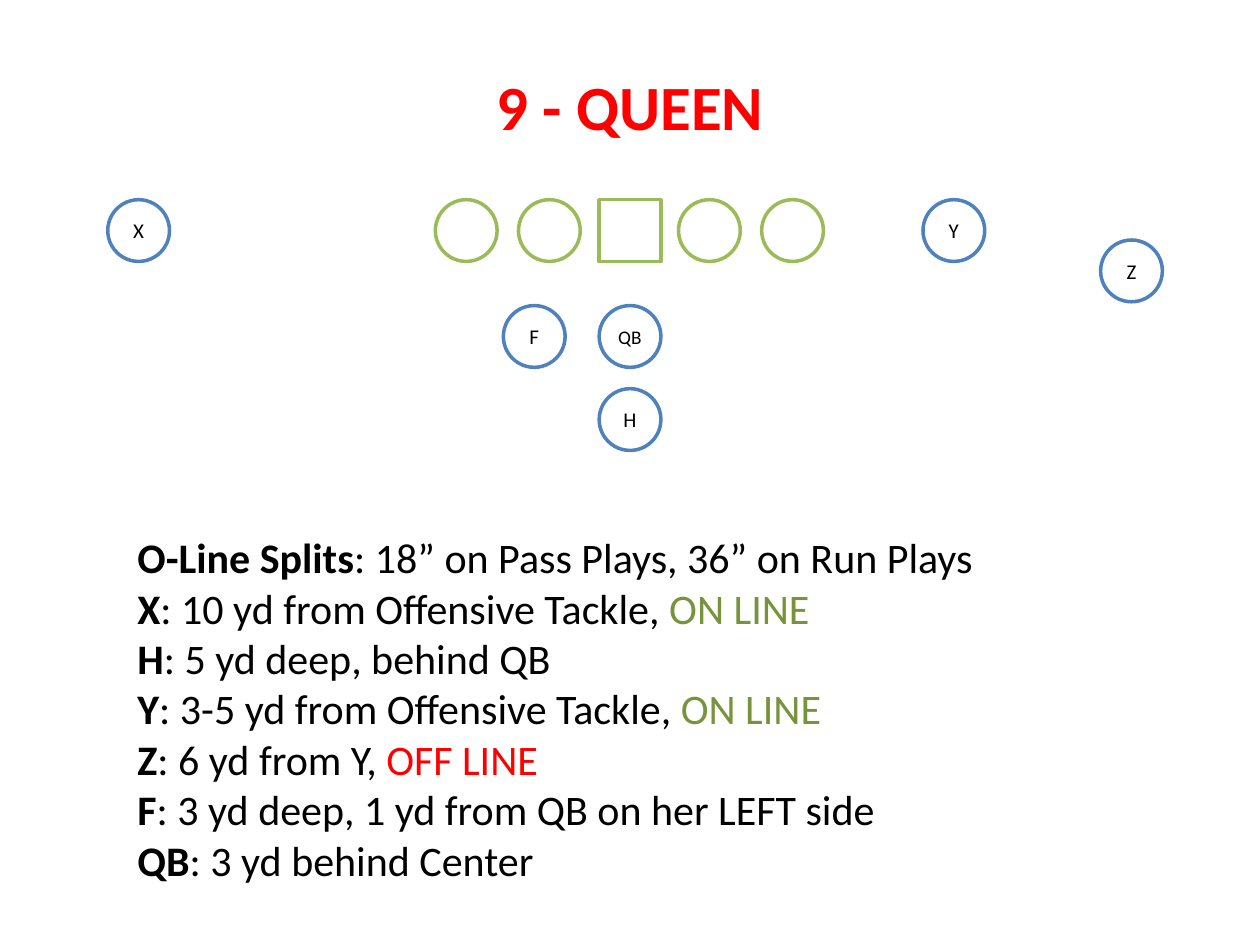
from lxml import etree
from pptx import Presentation
from pptx import util as u
from pptx.dml.color import RGBColor
from pptx.enum import shapes, text

BLACK = RGBColor(0x00, 0x00, 0x00)
WHITE = RGBColor(0xFF, 0xFF, 0xFF)
RED = RGBColor(0xFF, 0x00, 0x00)
BLUE = RGBColor(0x4F, 0x81, 0xBD)
LIME = RGBColor(0x9B, 0xBB, 0x59)
OLIVE = RGBColor(0x77, 0x93, 0x3C)

SIZE = 0.49  # width and height of a player mark
OVAL = shapes.MSO_SHAPE.OVAL
RECT = shapes.MSO_SHAPE.RECTANGLE

# Centre offsets from the Center, in inches
LINE = [(-1.3, OVAL), (-0.64, OVAL), (0, RECT), (0.63, OVAL), (1.29, OVAL)]
BACKS = [("X", -3.9, 0), ("Y", 2.57, 0), ("Z", 3.98, 0.32),
         ("F", -0.76, 0.84), ("QB", 0, 0.84), ("H", 0, 1.5)]

NOTES = [
    ("O-Line Splits", ": 18” on Pass Plays, 36” on Run Plays", "", BLACK),
    ("X", ": 10 yd from Offensive Tackle, ", "ON LINE", OLIVE),
    ("H", ": 5 yd deep, behind QB", "", BLACK),
    ("Y", ": 3-5 yd from Offensive Tackle, ", "ON LINE", OLIVE),
    ("Z", ": 6 yd from Y, ", "OFF LINE", RED),
    ("F", ": 3 yd deep, 1 yd from QB on her LEFT side", "", BLACK),
    ("QB", ": 3 yd behind Center", "", BLACK),
]


def style(obj, form):
    for key, val in form.items():
        setattr(obj, key, val)


def place(shape, box):
    names = ("left", "top", "width", "height")
    style(shape, dict(zip(names, map(u.Inches, box))))


def write(para, words, size, color, bold=False):
    run = para.add_run()
    run.text = words
    style(run.font, {"name": "Calibri", "size": u.Pt(size), "bold": bold})
    run.font.color.rgb = color


def mark(slide, kind, x, y, color, label=""):
    """Draw one player centred on x, y."""
    box = (x - SIZE / 2, y - SIZE / 2, SIZE, SIZE)
    shape = slide.shapes.add_shape(kind, *map(u.Inches, box))
    shape.shadow.inherit = False
    shape.fill.solid()
    shape.fill.fore_color.rgb = WHITE
    shape.line.color.rgb = color
    shape.line.width = u.Pt(2)
    if label:
        frame = shape.text_frame
        frame.vertical_anchor = text.MSO_ANCHOR.MIDDLE
        wide = len(label) > 1
        if wide:
            style(frame, {"margin_left": 0, "margin_right": 0})
        para = frame.paragraphs[0]
        para.alignment = text.PP_ALIGN.CENTER
        write(para, label, 11 if wide else 12, BLACK)


def title(slide, box):
    shape = slide.shapes.title
    place(shape, box)
    frame = shape.text_frame
    style(frame, {"auto_size": text.MSO_AUTO_SIZE.NONE, "word_wrap": True})
    para = frame.paragraphs[0]
    para.alignment = text.PP_ALIGN.CENTER
    write(para, "9 - QUEEN", 36, RED, True)


def field(slide, x, y):
    """Set out the formation around the Center at x, y."""
    for label, dx, dy in BACKS:
        mark(slide, OVAL, x + dx, y + dy, BLUE, label)
    for dx, kind in LINE:
        mark(slide, kind, x + dx, y, LIME)


def notes(slide, box):
    shape = slide.placeholders[1]
    place(shape, box)
    frame = shape.text_frame
    style(frame, {"auto_size": text.MSO_AUTO_SIZE.NONE, "word_wrap": True,
                  "vertical_anchor": text.MSO_ANCHOR.TOP})
    for i, (label, words, tail, color) in enumerate(NOTES):
        para = frame.add_paragraph() if i else frame.paragraphs[0]
        para.space_before = u.Pt(0)
        # No bullet and no hanging indent
        props = para._p.get_or_add_pPr()
        props.set("marL", "0")
        props.set("indent", "0")
        etree.SubElement(props, props.tag.replace("pPr", "buNone"))
        write(para, label, 24, BLACK, True)
        write(para, words, 24, BLACK)
        if tail:
            write(para, tail, 24, color)


def main():
    deck = Presentation()
    style(deck, {"slide_width": u.Inches(10), "slide_height": u.Inches(7.5)})
    slide = deck.slides.add_slide(deck.slide_layouts[1])
    title(slide, (3.46, 0.48, 3.08, 0.71))
    field(slide, 5, 1.83)
    notes(slide, (0.99, 4.17, 8.5, 3))
    deck.save("out.pptx")


if __name__ == "__main__":
    main()
